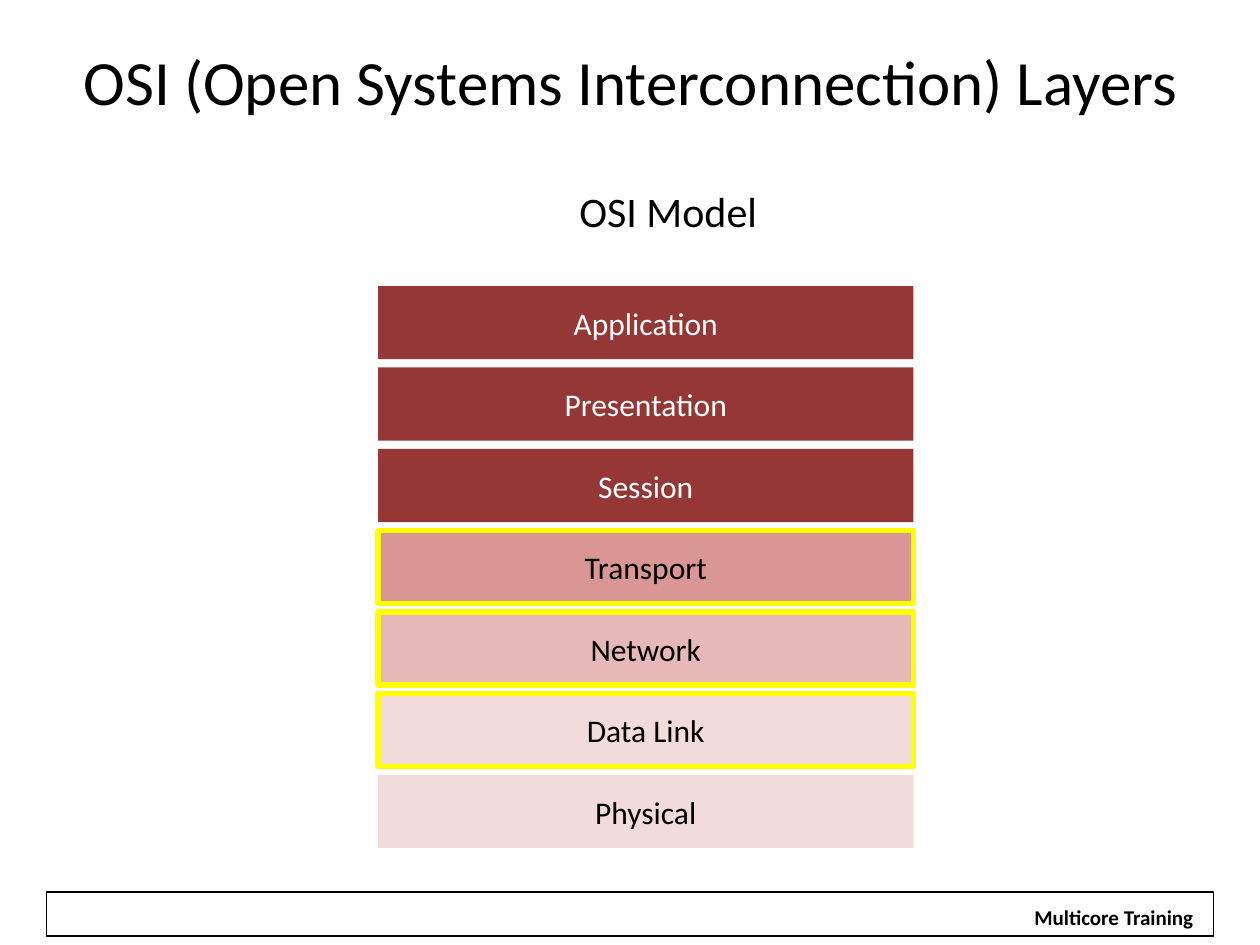
import pptx
import pptx.util
import pptx.dml.color
import pptx.enum.shapes
import pptx.enum.text

Inches = pptx.util.Inches
RGBColor = pptx.dml.color.RGBColor
ALIGN = pptx.enum.text.PP_ALIGN
ANCHOR = pptx.enum.text.MSO_ANCHOR

BLACK = RGBColor(0x00, 0x00, 0x00)
WHITE = RGBColor(0xFF, 0xFF, 0xFF)
YELLOW = RGBColor(0xFF, 0xFF, 0x00)
DARK_RED = RGBColor(0x95, 0x37, 0x35)
ROSE = RGBColor(0xD9, 0x96, 0x94)
LIGHT_ROSE = RGBColor(0xE6, 0xB9, 0xB8)
PALE_ROSE = RGBColor(0xF2, 0xDC, 0xDB)

LAYERS = [
    ("Application", DARK_RED, WHITE, None),
    ("Presentation", DARK_RED, WHITE, None),
    ("Session", DARK_RED, WHITE, None),
    ("Transport", ROSE, BLACK, YELLOW),
    ("Network", LIGHT_ROSE, BLACK, YELLOW),
    ("Data Link", PALE_ROSE, BLACK, YELLOW),
    ("Physical", PALE_ROSE, BLACK, None),
]


def write(shape, text, size, color=BLACK, align=ALIGN.CENTER,
          anchor=ANCHOR.TOP, bold=False, wrap=True):
    """Put one styled run of text into a shape."""
    frame = shape.text_frame
    frame.word_wrap = wrap
    frame.vertical_anchor = anchor
    paragraph = frame.paragraphs[0]
    paragraph.alignment = align
    run = paragraph.add_run()
    run.text = text
    run.font.name = "Calibri"
    run.font.size = pptx.util.Pt(size)
    run.font.bold = bold
    run.font.color.rgb = color


def add_box(slide, left, top, width, height, fill=None, line=None, line_width=0.75):
    """Add a flat rectangle with an optional fill and outline."""
    box = slide.shapes.add_shape(
        pptx.enum.shapes.MSO_SHAPE.RECTANGLE, left, top, width, height)
    box.shadow.inherit = False
    if fill is None:
        box.fill.background()
    else:
        box.fill.solid()
        box.fill.fore_color.rgb = fill
    if line is None:
        box.line.fill.background()
    else:
        box.line.color.rgb = line
        box.line.width = pptx.util.Pt(line_width)
    return box


def add_footer(slide, left, top, width, height):
    """Draw the framed footer with its label at the right."""
    add_box(slide, left, top, width, height, line=BLACK)
    label_width = Inches(1.48)
    label = add_box(slide, left + width - label_width - Inches(0.05),
                    top + Inches(0.05), label_width, Inches(0.26), fill=WHITE)
    write(label, "Multicore Training", 12, bold=True, wrap=False)


def add_title(slide, left, top, width, height):
    """Write the slide title."""
    title = slide.shapes.add_textbox(left, top, width, height)
    write(title, "OSI (Open Systems Interconnection) Layers", 36)


def add_osi_model(slide, left, top, width, height):
    """Draw the model heading and the evenly spaced stack of layers."""
    heading = slide.shapes.add_textbox(
        left + Inches(1.5), top, Inches(1.63), Inches(0.5))
    write(heading, "OSI Model", 24, align=ALIGN.LEFT, wrap=False)
    stack_top = top + Inches(0.85)
    layer_height = Inches(0.58)
    pitch = (top + height - layer_height - stack_top) / (len(LAYERS) - 1)
    for index, (name, fill, color, outline) in enumerate(LAYERS):
        layer = add_box(slide, left, round(stack_top + index * pitch),
                        width, layer_height, fill, outline, 3)
        write(layer, name, 18, color, anchor=ANCHOR.MIDDLE)


def main():
    """Build and save the slide."""
    deck = pptx.Presentation()
    deck.slide_width = Inches(10)
    deck.slide_height = Inches(7.5)
    slide = deck.slides.add_slide(deck.slide_layouts[6])
    add_footer(slide, Inches(0.37), Inches(7.08), Inches(9.26), Inches(0.35))
    add_title(slide, Inches(0.17), Inches(0.29), Inches(9.67), Inches(0.71))
    add_osi_model(slide, Inches(3), Inches(1.42), Inches(4.25), Inches(5.31))
    deck.save("out.pptx")


if __name__ == "__main__":
    main()
